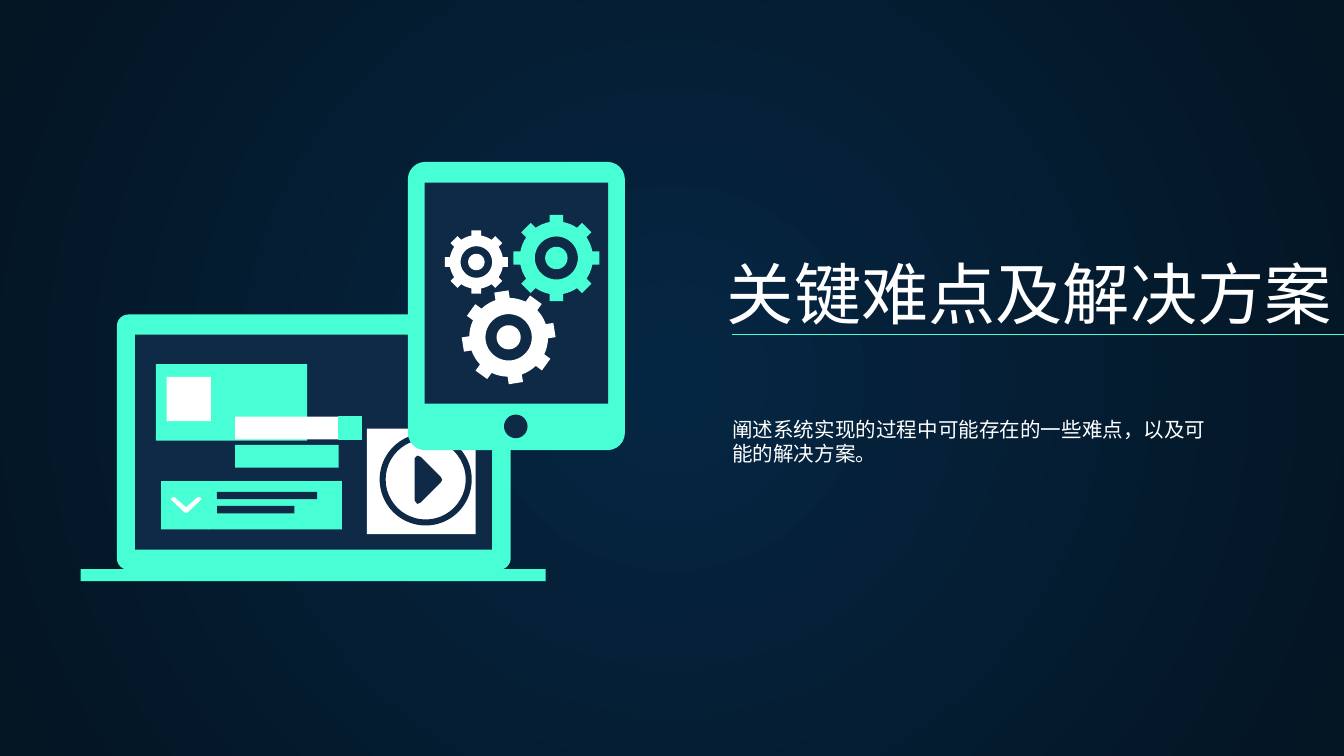
from dataclasses import dataclass
from math import asin, cos, pi, sin

from lxml import etree
from pptx import Presentation
from pptx.dml.color import RGBColor
from pptx.enum.shapes import MSO_CONNECTOR, MSO_SHAPE
from pptx.enum.text import MSO_ANCHOR
from pptx.oxml.ns import qn
from pptx.util import Inches, Pt

RECT, ROUNDED = MSO_SHAPE.RECTANGLE, MSO_SHAPE.ROUNDED_RECTANGLE
OVAL, RING = MSO_SHAPE.OVAL, MSO_SHAPE.DONUT
STRAIGHT = MSO_CONNECTOR.STRAIGHT
TOP, BOTTOM = MSO_ANCHOR.TOP, MSO_ANCHOR.BOTTOM
COLUMNS, ROWS = 100, 56.25  # square grid cells, a tenth of an inch each


@dataclass(frozen=True)
class Theme:
    mint: str = "48FFD5"
    navy: str = "0E2A47"
    white: str = "FFFFFF"
    glow: str = "052643"
    edge: str = "041523"
    font: str = "Roboto"
    title_size: int = 36
    body_size: int = 11
    line_width: float = 0.75


def cells(count):
    return Inches(count / 10)


def rgb(value):
    return RGBColor.from_string(value)


def write_text(frame, text, *, size, color, font):
    para = frame.paragraphs[0]
    span = para.add_run()
    span.text = text
    span.font.size = Pt(size)
    span.font.name = font
    span.font.color.rgb = rgb(color)


def circle_points(x, y, radius, count=48):
    angles = [2 * pi * step / count for step in range(count)]
    return [(x + radius * cos(a), y + radius * sin(a)) for a in angles]


def gear_points(x, y, radius, turn, teeth=8, arc_steps=4):
    """Outline of a gear, its teeth joined by arcs of the body circle."""
    body, half = 0.85 * radius, 0.155 * radius
    spread, pitch = asin(half / body), 2 * pi / teeth
    points = []
    for tooth in range(teeth):
        angle = tooth * pitch + turn
        for side in (-half, half):
            points.append((x + radius * cos(angle) - side * sin(angle),
                           y + radius * sin(angle) + side * cos(angle)))
        for step in range(arc_steps + 1):
            a = angle + spread + (pitch - 2 * spread) * step / arc_steps
            points.append((x + body * cos(a), y + body * sin(a)))
    return points


class SlideBuilder:
    def __init__(self, page, theme):
        self.page, self.theme = page, theme

    def background(self):
        fill = self.page.background.fill
        fill.gradient()
        for stop, color in zip(fill.gradient_stops, (self.theme.glow, self.theme.edge)):
            stop.color.rgb = rgb(color)
        gradient = self.page.element.find(".//" + qn("a:gradFill"))
        gradient.remove(gradient.find(qn("a:lin")))
        radial = etree.SubElement(gradient, qn("a:path"), path="circle")
        etree.SubElement(radial, qn("a:fillToRect"),
                         l="50000", t="50000", r="50000", b="50000")

    def paint(self, shape, color, outlined=False):
        shape.shadow.inherit = False
        shape.fill.solid()
        shape.fill.fore_color.rgb = rgb(color)
        if outlined:
            shape.line.color.rgb = rgb(color)
            shape.line.width = Pt(self.theme.line_width)
        else:
            shape.line.fill.background()

    def shape(self, kind, left, top, width, height, color, adjust=None, outlined=False):
        shape = self.page.shapes.add_shape(
            kind, cells(left), cells(top), cells(width), cells(height))
        if adjust is not None:
            shape.adjustments[0] = adjust
        self.paint(shape, color, outlined)

    def outline(self, contours, color):
        first, *others = [[(cells(x), cells(y)) for x, y in contour]
                          for contour in contours]
        builder = self.page.shapes.build_freeform(*first[0])
        builder.add_line_segments(first[1:], close=True)
        for contour in others:
            builder.move_to(*contour[0])
            builder.add_line_segments(contour[1:], close=True)
        self.paint(builder.convert_to_shape(), color)

    def gear(self, x, y, radius, color, turn=0):
        self.outline([gear_points(x, y, radius, turn),
                      circle_points(x, y, 0.5 * radius),
                      circle_points(x, y, 0.26 * radius)], color)

    def rule(self, left, right, row):
        line = self.page.shapes.add_connector(
            STRAIGHT, cells(left), cells(row), cells(right), cells(row))
        line.line.color.rgb = rgb(self.theme.mint)
        line.line.width = Pt(self.theme.line_width)
        etree.SubElement(line.element.spPr, qn("a:effectLst"))

    def text(self, left, top, width, height, text, *, size, anchor=TOP):
        box = self.page.shapes.add_textbox(
            cells(left), cells(top), cells(width), cells(height))
        frame = box.text_frame
        frame.word_wrap = True
        frame.vertical_anchor = anchor
        frame.margin_left = frame.margin_right = cells(1)
        frame.margin_top = frame.margin_bottom = cells(1)
        write_text(frame, text, size=size, color=self.theme.white, font=self.theme.font)


def draw_laptop(slide, theme):
    mint, navy, white = theme.mint, theme.navy, theme.white
    # Case, screen and base
    slide.shape(ROUNDED, 8.7, 23.4, 29.3, 19, mint, adjust=0.045)
    slide.shape(RECT, 10.05, 24.9, 26.55, 16, navy)
    slide.shape(RECT, 6, 42.35, 34.6, 0.9, mint)
    # Picture card
    slide.shape(RECT, 11.6, 27.1, 11.25, 5.7, mint)
    slide.shape(RECT, 12.4, 28.05, 3.3, 3.3, white)
    # Checked panel with two text bars
    slide.shape(RECT, 15.5, 35.8, 9.95, 3.6, mint)
    for row, width in ((36.6, 7.45), (37.65, 5.75)):
        slide.shape(RECT, 16.15, row, width, 0.55, navy)
    slide.shape(RECT, 12, 35.8, 3.55, 3.6, mint)
    slide.outline([[(12.7, 37.15), (12.85, 37), (13, 37), (13.85, 37.75), (14.7, 37),
                    (14.9, 37), (15, 37.15), (13.95, 38.15), (13.75, 38.15)]], white)
    # Search field and its button
    slide.shape(RECT, 17.5, 33.1, 7.7, 1.7, mint)
    slide.shape(RECT, 17.5, 31, 7.7, 1.7, white)
    slide.shape(RECT, 25.2, 31, 1.7, 1.7, mint, outlined=True)
    # Video player
    slide.shape(RECT, 27.3, 31.9, 8.1, 7.85, white)
    slide.shape(RING, 28.25, 32.25, 6.85, 6.85, navy, adjust=0.065)
    slide.outline([[(30.85, 34.1), (31.05, 33.9), (31.3, 34), (32.8, 35.5), (32.9, 35.7),
                    (32.8, 35.9), (31.3, 37.4), (31.05, 37.5), (30.85, 37.25)]], navy)


def draw_tablet(slide, theme):
    # Case, screen and button
    slide.shape(ROUNDED, 30.35, 12.05, 16.15, 21.45, theme.mint, adjust=0.08)
    slide.shape(RECT, 31.6, 13.6, 13.65, 16.45, theme.navy)
    slide.shape(OVAL, 37.5, 30.85, 1.75, 1.75, theme.navy)
    # Gears
    slide.gear(41.4, 19.2, 3.2, theme.mint)
    slide.gear(35.45, 19.5, 2.35, theme.white)
    slide.gear(37.85, 25.1, 3.45, theme.white, turn=-pi / 20)


def main():
    theme = Theme()
    deck = Presentation()
    deck.slide_width, deck.slide_height = cells(COLUMNS), cells(ROWS)
    slide = SlideBuilder(deck.slides.add_slide(deck.slide_layouts[6]), theme)
    slide.background()

    # Heading and summary
    slide.text(53.1, 16.2, 50.2, 9.6, "关键难点及解决方案",
               size=theme.title_size, anchor=BOTTOM)
    slide.text(53.5, 30, 37.8, 15.5, "阐述系统实现的过程中可能存在的一些难点，以及可能的解决方案。",
               size=theme.body_size)
    slide.rule(54.5, 103.1, 24.9)

    # Illustration
    draw_laptop(slide, theme)
    draw_tablet(slide, theme)
    deck.save("out.pptx")


if __name__ == "__main__":
    main()
